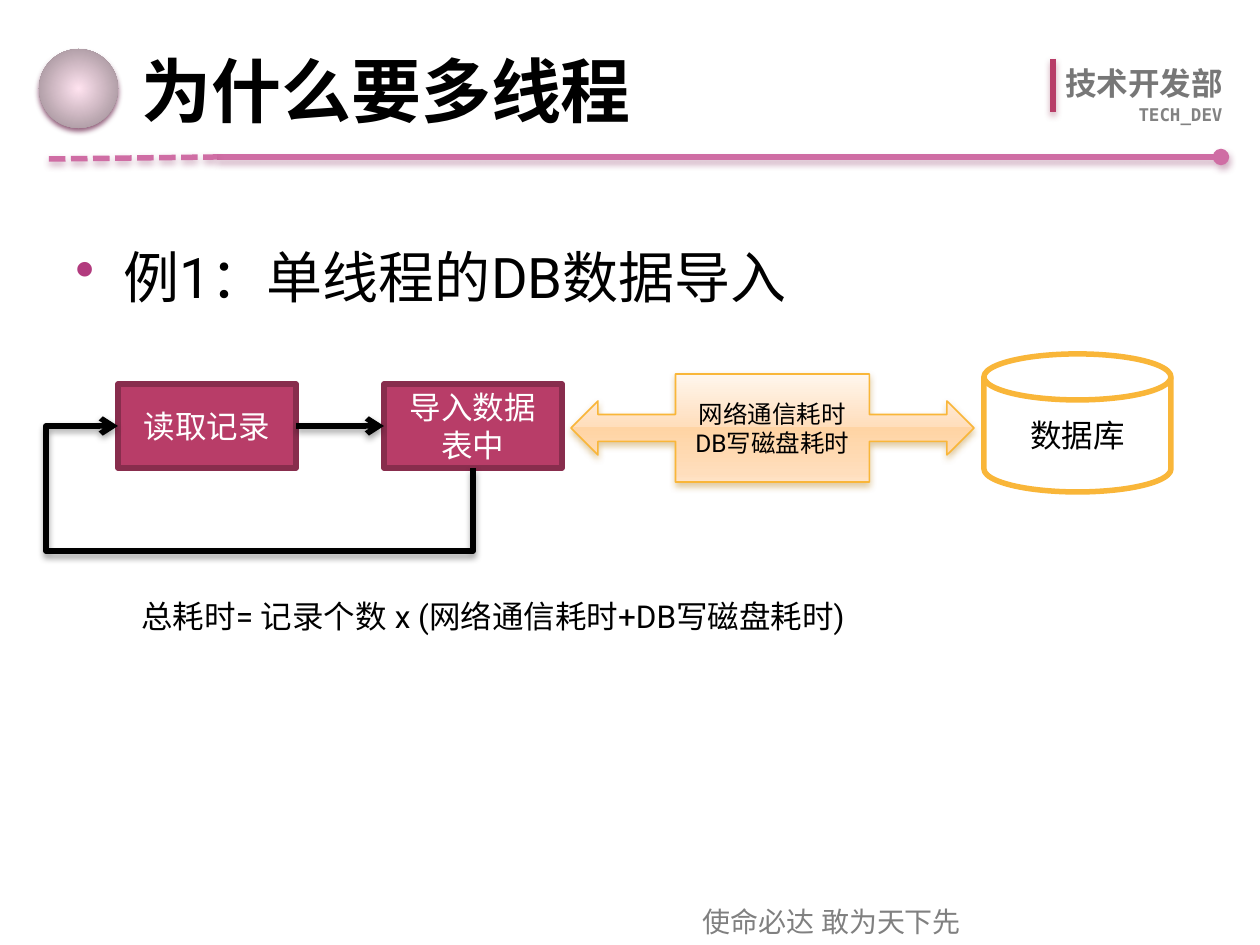
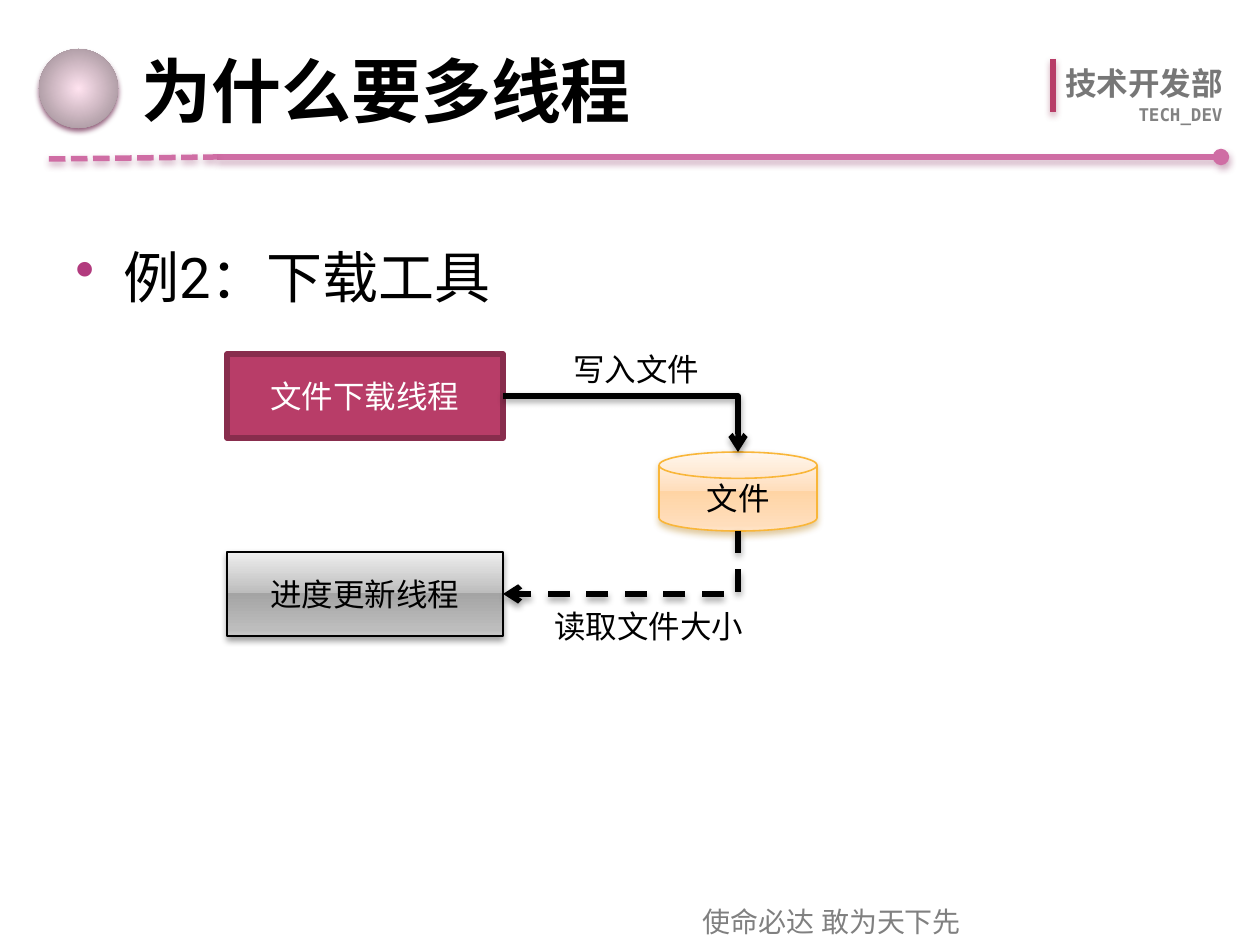
from pptx import Presentation
from pptx import util as u
from pptx.dml.color import RGBColor
from pptx.enum import dml, shapes, text
from pptx.oxml import parse_xml
from pptx.oxml.ns import nsdecls, qn

PX = u.Inches(10) / 1260
BLACK, WHITE = "000000", "FFFFFF"
CRIMSON, CRIMSON_DARK, PINK, GOLD = "B83D68", "882D4D", "CF6DA4", "F9B639"
PINK_SHADOW, GOLD_SHADOW = "893263", "B07405"
THICK, THIN = 3.15, 0.9
STOPS = (0, 49, 49, 92, 100)
PEACH = list(zip(STOPS, ("FFF6ED", "FFDEBC", "FFD4A4", "FFDEBC", "FFE3C7")))
GRAY = list(zip(STOPS, ("EEEEEE", "BDBDBD", "A4A4A4", "BDBDBD", "C8C8C8")))
BALL = [(0, "FFE3F0"), (100, "94858C")]
LINEAR = '<a:lin ang="5400000" scaled="0"/>'
RADIAL = ('<a:path path="circle"><a:fillToRect l="50000" t="50000" '
          'r="50000" b="50000"/></a:path>')
SHAPE = shapes.MSO_SHAPE


def px(n):
    return u.Emu(round(n * PX))


def rgb(color):
    return RGBColor.from_string(color)


def a_xml(tag, body="", attrs=""):
    return parse_xml(f'<a:{tag} {nsdecls("a")} {attrs}>{body}</a:{tag}>')


def set_effects(sp, color=None, alpha=38, blur=4):
    """Give a soft shadow below, or none when no color is given."""
    spPr = sp._element.spPr
    for old in spPr.findall(qn("a:effectLst")):
        spPr.remove(old)
    shadow = "" if color is None else (
        f'<a:outerShdw blurRad="{u.Pt(blur)}" dist="{u.Pt(2)}" dir="5400000" '
        f'rotWithShape="0"><a:srgbClr val="{color}">'
        f'<a:alpha val="{alpha * 1000}"/></a:srgbClr></a:outerShdw>')
    spPr.append(a_xml("effectLst", shadow))


def set_gradient(sp, stops, direction=LINEAR):
    sp.fill.gradient()
    old = sp._element.spPr.find(qn("a:gradFill"))
    stop_xml = "".join(f'<a:gs pos="{pos * 1000}"><a:srgbClr val="{color}"/></a:gs>'
                       for pos, color in stops)
    old.getparent().replace(old, a_xml(
        "gradFill", f"<a:gsLst>{stop_xml}</a:gsLst>{direction}", 'rotWithShape="1"'))


def write(sp, content, size=18, color=BLACK, font="Roboto", bold=False,
          align=text.PP_ALIGN.LEFT, anchor=text.MSO_ANCHOR.TOP):
    tf = sp.text_frame
    tf.word_wrap = True
    tf.vertical_anchor = anchor
    for i, line in enumerate(content.split("\n")):
        p = tf.add_paragraph() if i else tf.paragraphs[0]
        p.alignment = align
        r = p.add_run()
        r.text = line
        r.font.size, r.font.bold, r.font.name = u.Pt(size), bold, font
        r.font.color.rgb = rgb(color)
        r._r.get_or_add_rPr().append(a_xml("ea", attrs=f'typeface="{font}"'))
    return tf


def add_text(s, x, y, w, h, content, **fmt):
    return write(s.shapes.add_textbox(px(x), px(y), px(w), px(h)), content, **fmt)


def add_block(s, kind, x, y, w, h, content="", fill=CRIMSON, line=CRIMSON_DARK,
              width=THICK, shadow=None, color=BLACK, size=18):
    """Add a preset shape; fill is a color or a list of gradient stops."""
    sp = s.shapes.add_shape(kind, px(x), px(y), px(w), px(h))
    if isinstance(fill, str):
        sp.fill.solid()
        sp.fill.fore_color.rgb = rgb(fill)
    else:
        set_gradient(sp, fill)
    sp.line.color.rgb = rgb(line)
    sp.line.width = u.Pt(width)
    set_effects(sp, shadow)
    if content:
        write(sp, content, size=size, color=color, align=text.PP_ALIGN.CENTER,
              anchor=text.MSO_ANCHOR.MIDDLE)
    return sp


def add_step(s, x, y, w, content):
    return add_block(s, SHAPE.FLOWCHART_PROCESS, x, y, w, 84, content, color=WHITE)


def style_line(c, color, shadow, dash=None, tail=None):
    c.line.color.rgb = rgb(color)
    c.line.width = u.Pt(THICK)
    if dash:
        c.line.dash_style = dash
    if tail:
        c.line._get_or_add_ln().append(a_xml("tailEnd", attrs=f'type="{tail}"'))
    set_effects(c, shadow)
    return c


def add_line(s, x1, y1, x2, y2, color=BLACK, shadow=BLACK, **look):
    c = s.shapes.add_connector(shapes.MSO_CONNECTOR.STRAIGHT,
                               px(x1), px(y1), px(x2), px(y2))
    return style_line(c, color, shadow, **look)


def add_elbow(s, start, end, preset="bentConnector2", turned=False, flip=False,
              adjust=(), dash=None):
    """Add a bent arrow; a turned one leaves its start vertically."""
    (x1, y1), (x2, y2) = start, end
    w, h = abs(x2 - x1), abs(y2 - y1)
    if turned:
        w, h = h, w
    left, top = (x1 + x2 - w) / 2, (y1 + y2 - h) / 2
    c = s.shapes.add_connector(shapes.MSO_CONNECTOR.ELBOW, px(left), px(top),
                               px(left + w), px(top + h))
    spPr = c._element.spPr
    xfrm, geom = spPr.find(qn("a:xfrm")), spPr.find(qn("a:prstGeom"))
    if turned:
        xfrm.set("rot", "5400000")
    if flip:
        xfrm.set("flipH", "1")
    geom.set("prst", preset)
    for old in list(geom):
        geom.remove(old)
    geom.append(a_xml("avLst", "".join(
        f'<a:gd name="adj{i}" fmla="val {round(v * 100000)}"/>'
        for i, v in enumerate(adjust, 1))))
    return style_line(c, BLACK, BLACK, dash=dash, tail="arrow")


def add_department(s, x, y):
    add_line(s, x, y + 1, x, y + 54, CRIMSON, "7F1238")
    add_text(s, x, y, 186, 50, "技术开发部", color="777777",
             font="Noto Sans CJK SC", bold=True)
    add_text(s, x + 59, y + 40, 137, 34, "TECH_DEV", size=10, color="828282",
             font="DejaVu Sans Mono", bold=True, align=text.PP_ALIGN.CENTER)


def add_title(s, x, y, title):
    add_line(s, x + 178, y + 108, x + 1182, y + 108, PINK, PINK_SHADOW, tail="oval")
    ball = add_block(s, SHAPE.OVAL, x, y, 79, 79)
    set_gradient(ball, BALL, RADIAL)
    ball.line.fill.background()
    set_effects(ball, "804365", alpha=83, blur=3.1)
    add_line(s, x + 10, y + 110, x + 178, y + 108, PINK, PINK_SHADOW,
             dash=dml.MSO_LINE.SQUARE_DOT)
    add_text(s, x + 90, y - 20, 777, 120, title, size=40, bold=True,
             anchor=text.MSO_ANCHOR.MIDDLE)


def add_bullet(s, x, y, w, h, content):
    p = add_text(s, x, y, w, h, content, size=32).paragraphs[0]
    p.line_spacing = 1.25
    p.space_before = u.Pt(6.4)
    pPr = p._p.get_or_add_pPr()
    indent = u.Inches(0.38)
    pPr.set("marL", str(indent))
    pPr.set("indent", str(-indent))
    pPr.append(a_xml("buClr", '<a:srgbClr val="B23B7E"/>'))
    pPr.append(a_xml("buChar", attrs='char="•"'))


def add_content_slide(prs, title, bullet):
    s = prs.slides.add_slide(prs.slide_layouts[6])
    add_department(s, 1053, 58)
    add_text(s, 601, 898, 462, 47, "使命必达 敢为天下先", size=16, color="808080",
             align=text.PP_ALIGN.CENTER)
    add_title(s, 39, 49, title)
    add_bullet(s, 63, 220, 1134, 624, bullet)
    return s


def add_import_flow(s, x, y):
    step_w, step_y, mid_y, bottom = 178, y + 30, y + 72, y + 114
    read_x, import_x = x + 72, x + 338
    read = add_step(s, read_x, step_y, step_w, "读取记录")
    load = add_step(s, import_x, step_y, step_w, "导入数据表中")
    arrow = add_line(s, read_x + step_w, mid_y, import_x, mid_y, tail="arrow")
    arrow.begin_connect(read, 3)
    arrow.end_connect(load, 1)
    add_block(s, SHAPE.FLOWCHART_MAGNETIC_DISK, x + 938, y, 187, 138, "数据库",
              fill=WHITE, line=GOLD)
    add_block(s, SHAPE.LEFT_RIGHT_ARROW_CALLOUT, x + 525, y + 20, 403, 108,
              "网络通信耗时\nDB写磁盘耗时", fill=PEACH, line=GOLD, width=THIN,
              shadow=GOLD_SHADOW, size=14)
    start_x, drop = import_x + step_w // 2, 83
    add_elbow(s, (start_x, bottom), (read_x, mid_y), "bentConnector4", turned=True,
              flip=True, adjust=(-drop / (bottom - mid_y),
                                 1 + (read_x - x) / (start_x - read_x)))
    add_text(s, x + 83, y + 237, 748, 50,
             "总耗时= 记录个数 x (网络通信耗时+DB写磁盘耗时)")


def add_download_flow(s, x, y):
    step_w, progress_y = 276, y + 198
    disk_x, disk_y, disk_w, disk_h = x + 432, y + 98, 158, 79
    right, disk_mid = x + step_w, disk_x + disk_w // 2
    add_step(s, x, y, step_w, "文件下载线程")
    add_block(s, SHAPE.FLOWCHART_PROCESS, x, progress_y, step_w, 84, "进度更新线程",
              fill=GRAY, line=BLACK, width=THIN, shadow=BLACK)
    add_block(s, SHAPE.FLOWCHART_MAGNETIC_DISK, disk_x, disk_y, disk_w, disk_h,
              "文件", fill=PEACH, line=GOLD, width=THIN, shadow=GOLD_SHADOW)
    add_elbow(s, (right, y + 42), (disk_mid, disk_y))
    add_elbow(s, (disk_mid, disk_y + disk_h), (right, progress_y + 42), turned=True,
              dash=dml.MSO_LINE.DASH)
    add_text(s, x + 334, y - 10, 168, 50, "写入文件")
    add_text(s, x + 315, y + 247, 217, 50, "读取文件大小")


def main():
    prs = Presentation()
    prs.slide_width, prs.slide_height = px(1260), px(945)
    title = "为什么要多线程"
    add_import_flow(add_content_slide(prs, title, "例1：单线程的DB数据导入"), 46, 354)
    add_download_flow(add_content_slide(prs, title, "例2：下载工具"), 227, 354)
    prs.save("out.pptx")


if __name__ == "__main__":
    main()
